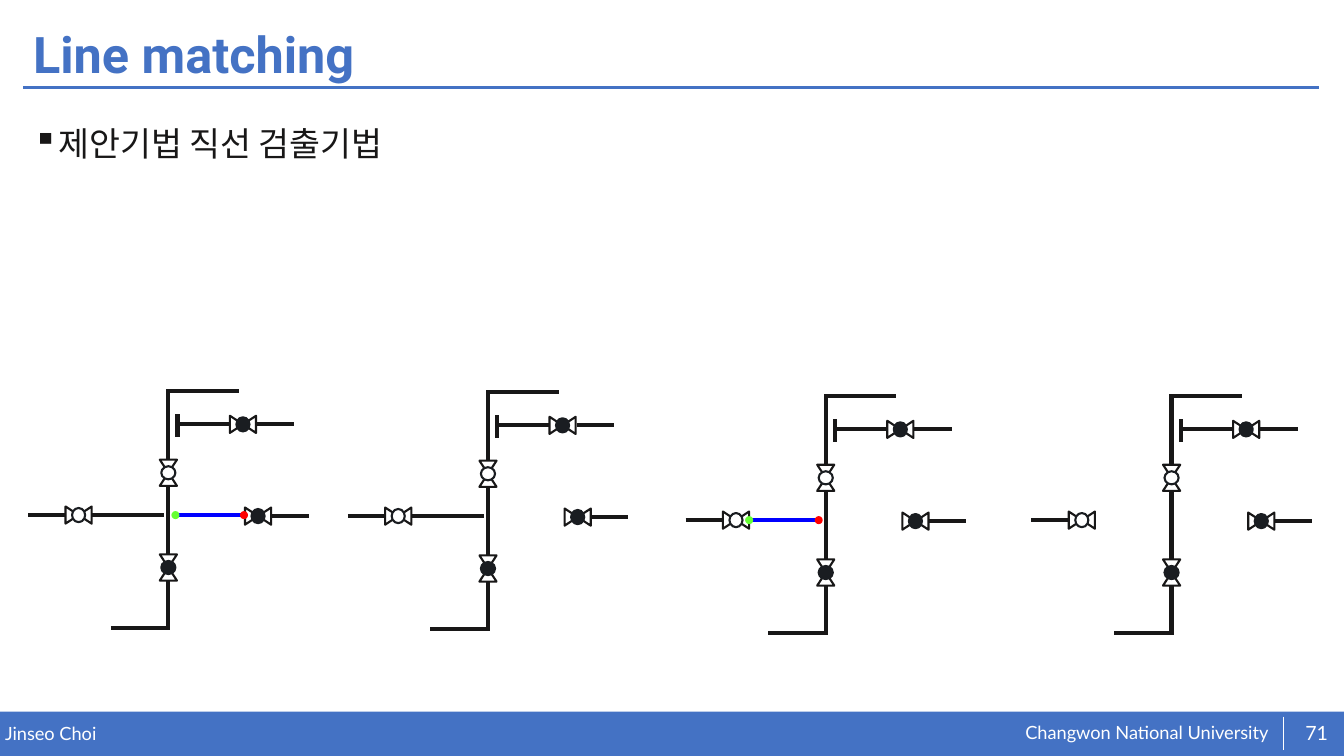
from dataclasses import dataclass

from lxml import etree
from pptx import Presentation
from pptx.dml.color import RGBColor
from pptx.enum.shapes import MSO_CONNECTOR, MSO_SHAPE
from pptx.enum.text import MSO_ANCHOR, PP_ALIGN
from pptx.oxml.ns import qn
from pptx.util import Inches, Pt

STRAIGHT = MSO_CONNECTOR.STRAIGHT
RECTANGLE = MSO_SHAPE.RECTANGLE
TRIANGLE = MSO_SHAPE.ISOSCELES_TRIANGLE
OVAL = MSO_SHAPE.OVAL
TOP = MSO_ANCHOR.TOP
MIDDLE = MSO_ANCHOR.MIDDLE
LEFT = PP_ALIGN.LEFT
CENTER = PP_ALIGN.CENTER


@dataclass(frozen=True)
class Theme:
    accent: str = "4472C4"
    white: str = "FFFFFF"
    ink: str = "181717"
    valve: str = "1A1D21"
    match: str = "0000FF"
    start: str = "66FF33"
    end: str = "FF0000"
    heading_font: str = "Roboto"
    body_font: str = "Lato"
    title_size: int = 36
    body_size: int = 24
    number_size: int = 14
    footer_size: int = 13


theme = Theme()
deck = Presentation()
deck.slide_width = Inches(13.33)
deck.slide_height = Inches(7.5)
page = deck.slides.add_slide(deck.slide_layouts[6])


def add_line(x1, y1, x2, y2, color, width):
    line = page.shapes.add_connector(STRAIGHT, Inches(x1), Inches(y1), Inches(x2), Inches(y2))
    line.line.color.rgb = RGBColor.from_string(color)
    line.line.width = Pt(width)
    etree.SubElement(line._element.spPr, qn("a:effectLst"))


def add_centred(kind, x, y, width, height, fill=None, outline=None, rotation=0):
    shape = page.shapes.add_shape(
        kind, Inches(x - width / 2), Inches(y - height / 2), Inches(width), Inches(height))
    shape.shadow.inherit = False
    shape.rotation = rotation
    if fill:
        shape.fill.solid()
        shape.fill.fore_color.rgb = RGBColor.from_string(fill)
    else:
        shape.fill.background()
    if outline:
        shape.line.color.rgb = RGBColor.from_string(outline)
        shape.line.width = Pt(1.5)
    else:
        shape.line.fill.background()


add_centred(RECTANGLE, 13.33 / 2, 7.28, 13.33, 0.44, theme.accent)
add_line(0.23, 0.87, 13.08, 0.87, theme.accent, 2)
add_line(12.73, 7.11, 12.73, 7.44, theme.white, 0.5)

texts = [
    ("Line matching", 0.23, 0.18, 12.86, 0.77, theme.heading_font, theme.title_size,
     theme.accent, True, MIDDLE, LEFT, 0.9, 0.1),
    ("제안기법 직선 검출기법", 0.23, 1.01, 12.86, 5.63, theme.body_font, theme.body_size,
     theme.ink, False, TOP, LEFT, 1.4, 0.1),
    ("Jinseo Choi", 0.05, 7.17, 6.55, 0.22, theme.body_font, theme.footer_size,
     theme.white, False, TOP, LEFT, 1, 0),
    ("Changwon National University", 10.17, 7.16, 2.5, 0.23, theme.body_font,
     theme.footer_size, theme.white, False, TOP, LEFT, 1, 0),
    ("71", 12.82, 7.07, 0.48, 0.4, theme.body_font, theme.number_size,
     theme.white, False, MIDDLE, CENTER, 1, 0),
]
for (text, left, top, width, height, font, size, color, bold,
     anchor, alignment, spacing, inset) in texts:
    box = page.shapes.add_textbox(Inches(left), Inches(top), Inches(width), Inches(height))
    frame = box.text_frame
    frame.word_wrap = True
    frame.vertical_anchor = anchor
    frame.margin_left = frame.margin_right = Inches(inset)
    frame.margin_top = frame.margin_bottom = Inches(inset / 2)
    para = frame.paragraphs[0]
    para.alignment = alignment
    para.line_spacing = spacing
    if size == theme.body_size:
        properties = para._p.get_or_add_pPr()
        properties.set("marL", str(Inches(0.25)))
        properties.set("indent", str(Inches(-0.25)))
        etree.SubElement(properties, qn("a:buChar")).set("char", "▪")
    span = para.add_run()
    span.text = text
    span.font.name = font
    span.font.size = Pt(size)
    span.font.bold = bold
    span.font.color.rgb = RGBColor.from_string(color)

pipes = [
    (0, 0, 0, 0.7), (0, 0.96, 0, 1.64), (0, 1.9, 0, 2.39),
    (-0.57, 2.37, 0.01, 2.37), (-0.01, 0.02, 0.7, 0.02),
    (0.09, 0.25, 0.09, 0.48), (0.09, 0.35, 0.61, 0.35), (0.88, 0.35, 1.25, 0.35),
    (1.02, 1.26, 1.39, 1.26), (-1.39, 1.25, -1.02, 1.25),
]
valves = [
    (0, 0.83, True, theme.white), (0, 1.77, True, theme.valve),
    (0.89, 1.26, False, theme.valve), (-0.89, 1.25, False, theme.white),
    (0.74, 0.35, False, theme.valve),
]
left_branch = (-0.76, -0.04)
right_branch = (0.04, 0.76)
diagrams = [
    (1.67, 3.86, [(left_branch, theme.ink), (right_branch, theme.match)], (0.07, 0.75)),
    (4.84, 3.87, [(left_branch, theme.ink)], None),
    (8.19, 3.91, [(left_branch, theme.match)], (-0.76, -0.07)),
    (11.62, 3.91, [], None),
]
for x, y, branches, endpoints in diagrams:
    for x1, y1, x2, y2 in pipes:
        add_line(x + x1, y + y1, x + x2, y + y2, theme.ink, 3)
    for (start, end), color in branches:
        add_line(x + start, y + 1.25, x + end, y + 1.25, color, 3)
    for dx, dy, vertical, fill in valves:
        for side in (-1, 1):
            shift = side * 0.065
            if vertical:
                add_centred(TRIANGLE, x + dx, y + dy + shift, 0.17, 0.13,
                            outline=theme.ink, rotation=0 if side > 0 else 180)
            else:
                add_centred(TRIANGLE, x + dx + shift, y + dy, 0.17, 0.13,
                            outline=theme.ink, rotation=270 if side > 0 else 90)
        add_centred(OVAL, x + dx, y + dy, 0.13, 0.14, fill, theme.valve, 270 if vertical else 0)
    if endpoints:
        for dx, color in zip(endpoints, (theme.start, theme.end)):
            add_centred(OVAL, x + dx, y + 1.25, 0.08, 0.08, color)

deck.save("out.pptx")
